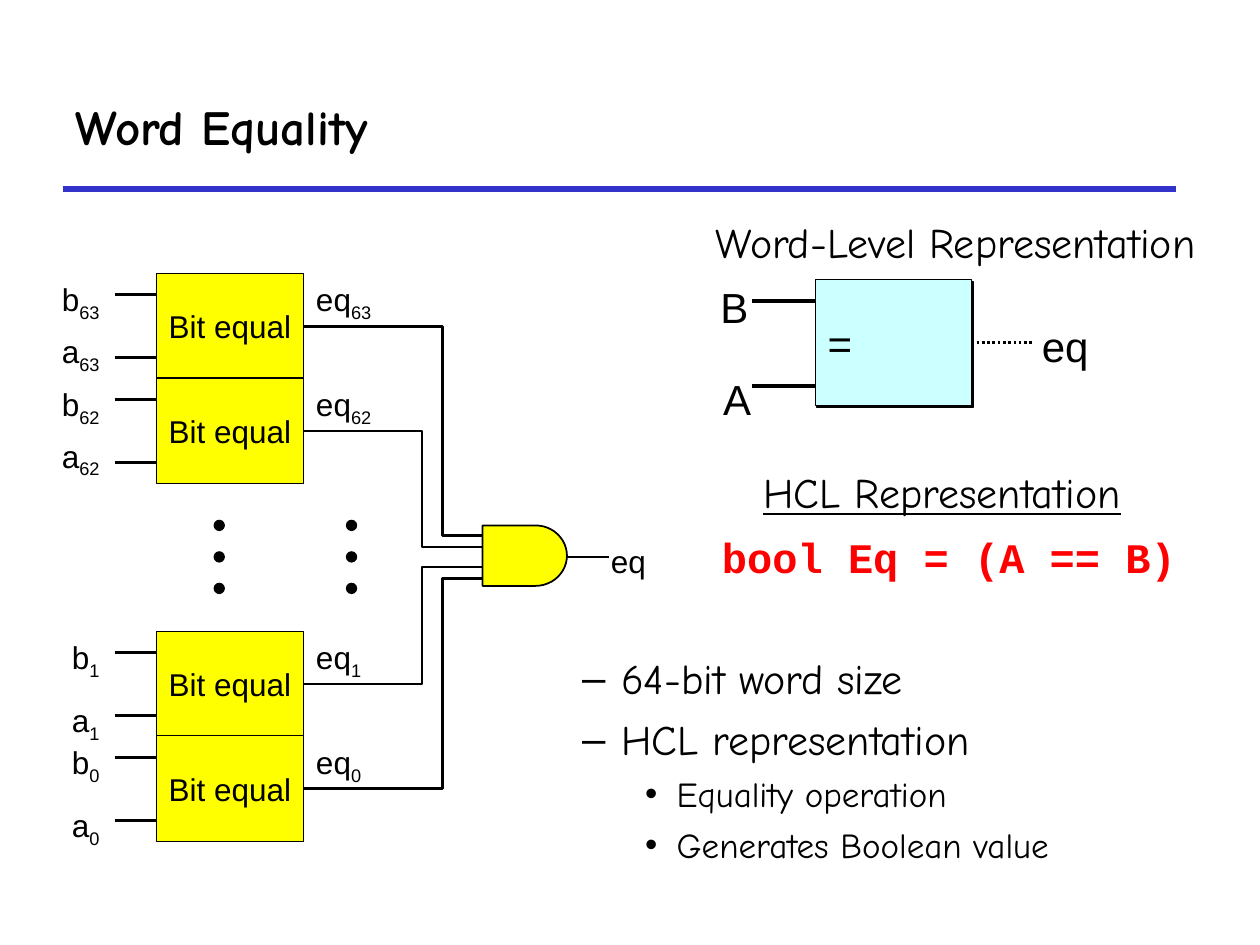
import math
from dataclasses import dataclass

from lxml import etree
from pptx import Presentation
from pptx.dml.color import RGBColor
from pptx.enum.dml import MSO_LINE
from pptx.enum.shapes import MSO_CONNECTOR, MSO_SHAPE
from pptx.enum.text import MSO_ANCHOR, MSO_AUTO_SIZE, PP_ALIGN
from pptx.oxml.ns import qn
from pptx.util import Emu, Pt

RECT, OVAL = MSO_SHAPE.RECTANGLE, MSO_SHAPE.OVAL
STRAIGHT = MSO_CONNECTOR.STRAIGHT
LEFT, CENTER, RIGHT = PP_ALIGN.LEFT, PP_ALIGN.CENTER, PP_ALIGN.RIGHT
TOP, MIDDLE = MSO_ANCHOR.TOP, MSO_ANCHOR.MIDDLE
DOTTED = MSO_LINE.ROUND_DOT
RIGHT_SIDE = 3
PX_PER_INCH = 100


@dataclass(frozen=True)
class Theme:
    ink: str = "000000"
    rule: str = "3333CC"
    gate: str = "FFFF00"
    word: str = "CCFFFF"
    code_ink: str = "FF0000"
    hand: str = "Comic Neue"
    sans: str = "Arial"
    code: str = "Courier New"
    title: int = 28
    large: int = 24
    medium: int = 20
    small: int = 18


T = Theme()


def px(n):
    return Emu(round(n * 914400 / PX_PER_INCH))


def rgb(value):
    return RGBColor.from_string(value)


def write(p, text, size=T.large, font=T.sans, color=T.ink, bold=False,
          underline=False, align=LEFT):
    """Fill a paragraph; what follows an underscore is set as a subscript."""
    p.alignment = align
    for i, piece in enumerate(text.split("_")):
        r = p.add_run()
        r.text = piece
        f = r.font
        f.size, f.name, f.bold, f.underline = Pt(size), font, bold, underline
        f.color.rgb = rgb(color)
        if i:
            r._r.get_or_add_rPr().set("baseline", "-25000")


def frame(shape, inset=10, anchor=MIDDLE, wrap=False):
    tf = shape.text_frame
    tf.auto_size = MSO_AUTO_SIZE.NONE
    tf.word_wrap, tf.vertical_anchor = wrap, anchor
    tf.margin_left = tf.margin_right = px(inset)
    tf.margin_top = tf.margin_bottom = px(5)
    return tf


def label(parent, x, y, w, h, text, inset=10, **fmt):
    tb = parent.shapes.add_textbox(px(x), px(y), px(w), px(h))
    write(frame(tb, inset).paragraphs[0], text, **fmt)


def block(parent, kind, x, y, w, h, fill):
    sp = parent.shapes.add_shape(kind, px(x), px(y), px(w), px(h))
    sp.shadow.inherit = False
    sp.fill.solid()
    sp.fill.fore_color.rgb = rgb(fill)
    sp.line.color.rgb = rgb(T.ink)
    sp.line.width = Pt(0.75)
    return sp


def line(parent, x1, y1, x2, y2, width=1.5, color=T.ink):
    c = parent.shapes.add_connector(STRAIGHT, px(x1), px(y1), px(x2), px(y2))
    c.line.color.rgb = rgb(color)
    c.line.width = Pt(width)
    etree.SubElement(c._element.spPr, qn("a:effectLst"))
    return c


def outline(parent, points, width=1.5, fill=None):
    """Draw an open wire, or a closed figure when a fill is given."""
    pts = [(px(x), px(y)) for x, y in points]
    fb = parent.shapes.build_freeform(*pts[0], scale=1.0)
    fb.add_line_segments(pts[1:], close=fill is not None)
    sp = fb.convert_to_shape()
    sp.shadow.inherit = False
    if fill:
        sp.fill.solid()
        sp.fill.fore_color.rgb = rgb(fill)
    else:
        sp.fill.background()
    sp.line.color.rgb = rgb(T.ink)
    sp.line.width = Pt(width)


def hard_shadow(sp):
    effects = sp._element.spPr.find(qn("a:effectLst"))
    shadow = etree.SubElement(effects, qn("a:outerShdw"), blurRad="0",
                              dist=str(Pt(1.4)), dir="2700000", algn="ctr", rotWithShape="0")
    etree.SubElement(shadow, qn("a:srgbClr"), val=T.ink)


def place(ph, x, y, w, h):
    ph.left, ph.top, ph.width, ph.height = px(x), px(y), px(w), px(h)


def header(s, x, y, w, h):
    place(s.shapes.title, x, y, w, h)
    tf = frame(s.shapes.title, wrap=True)
    write(tf.paragraphs[0], "Word Equality", size=T.title, font=T.hand, bold=True)
    line(s, x, y + h, x + w, y + h, 3, T.rule)


def notes_list(s, x, y, w, h):
    items = [(1, "64-bit word size"), (1, "HCL representation"),
             (2, "Equality operation"), (2, "Generates Boolean value")]
    styles = {1: ("–", 81, 31, T.large, 6), 2: ("•", 125, 25, T.medium, 5)}
    body = s.placeholders[1]
    place(body, x, y, w, h)
    tf = frame(body, anchor=TOP, wrap=True)
    for i, (level, text) in enumerate(items):
        char, margin, hang, size, before = styles[level]
        p = tf.add_paragraph() if i else tf.paragraphs[0]
        p.level = level
        p.space_before = Pt(before if i else 0)
        pPr = p._p.get_or_add_pPr()
        pPr.set("marL", str(px(margin)))
        pPr.set("indent", str(-px(hang)))
        etree.SubElement(pPr, qn("a:buChar"), char=char)
        write(p, text, size=size, font=T.hand)


def word_level(s, x, y, w, h):
    g = s.shapes.add_group_shape()
    box = block(g, RECT, x, y, w, h, T.word)
    hard_shadow(box)
    write(frame(box, wrap=True).paragraphs[0], "=")
    for dy in (17, 84):
        line(g, x - 50, y + dy, x, y + dy, 2.25)
    out = line(g, x + w, y + h / 2, x + w + 50, y + h / 2)
    out.begin_connect(box, RIGHT_SIDE)
    out.line.dash_style = DOTTED
    for dx, dy, lw, text in ((-85, -4, 43, "B"), (-83, 69, 43, "A"), (170, 27, 58, "eq")):
        label(g, x + dx, y + dy, lw, 51, text)


def bit_equal(g, x, y, w, h, bit, a_drop):
    """One comparator with its two inputs and the name of its output."""
    lw = 51 if bit > 9 else 43
    for name, drop, pin in (("b", 0, 17), ("a", a_drop, 67)):
        label(g, x - 35 - lw, y + drop, lw, 45, f"{name}_{bit}", size=T.small, align=RIGHT)
        line(g, x - 33, y + pin, x, y + pin)
    box = block(g, RECT, x, y, w, h, T.gate)
    write(frame(box, 0).paragraphs[0], "Bit equal", size=T.small, align=CENTER)
    label(g, x + w, y, 83, 45, f"eq_{bit}", size=T.small)


def and_gate(g, x, y, w, h):
    rx, ry, steps = 25, h / 2, 24
    angles = [math.pi * (i / steps - 0.5) for i in range(steps + 1)]
    arc = [(x + w - rx + rx * math.cos(a), y + ry + ry * math.sin(a)) for a in angles]
    outline(g, [(x, y), *arc, (x, y + h)], 1, T.gate)
    line(g, x + w, y + 25, x + w + 33, y + 25)
    label(g, x + w + 25, y + 8, 66, 41, "eq", size=T.small)


def bit_level(s, x, y):
    g = s.shapes.add_group_shape()
    w, h, gate_x, gate_y = 117, 84, x + 259, y + 200
    # bit, top, drop of the a label, bend of the wire, entry into the gate
    rows = [(63, 0, 41, 227, 8), (62, 83, 41, 211, 17),
            (1, 284, 50, 211, 33), (0, 367, 50, 227, 42)]
    for bit, top, a_drop, bend, entry in rows:
        bit_equal(g, x, y + top, w, h, bit, a_drop)
        mid = y + top + h / 2
        outline(g, [(x + w, mid), (x + bend, mid),
                    (x + bend, gate_y + entry), (gate_x, gate_y + entry)])
    for dx in (46, 151):
        for i in range(3):
            block(g, OVAL, x + dx, y + 196 + 25 * i, 8, 8, T.ink)
    and_gate(g, gate_x, gate_y, 67, 48)


def main():
    prs = Presentation()
    prs.slide_width, prs.slide_height = px(1000), px(750)
    s = prs.slides.add_slide(prs.slide_layouts[1])
    header(s, 50, 50, 883, 100)
    notes_list(s, 402, 513, 523, 212)
    word_level(s, 647, 222, 124, 100)
    label(s, 563, 166, 397, 51, "Word-Level Representation", 5, font=T.hand)
    label(s, 568, 416, 371, 51, "bool Eq = (A == B)", 5, font=T.code,
          color=T.code_ink, bold=True)
    label(s, 601, 365, 296, 51, "HCL Representation", 5, font=T.hand, underline=True)
    bit_level(s, 124, 217)
    prs.save("out.pptx")


if __name__ == "__main__":
    main()
